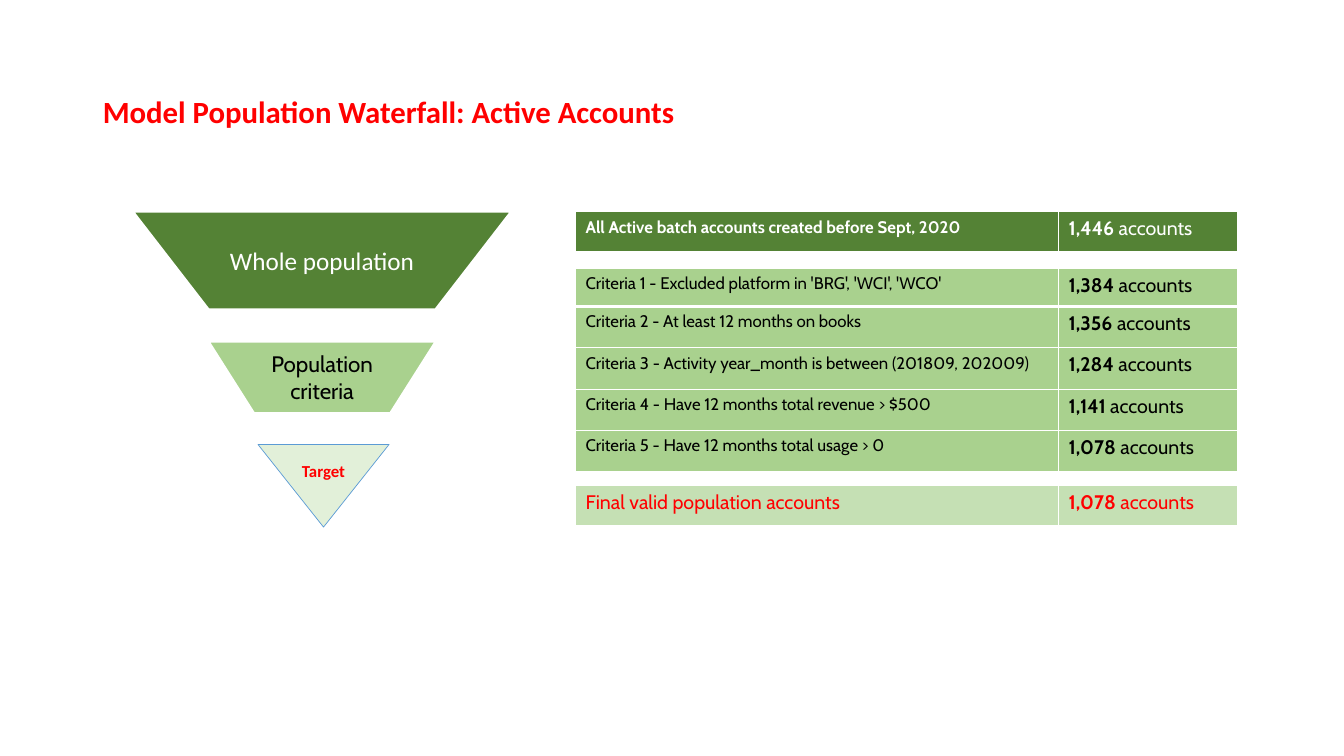
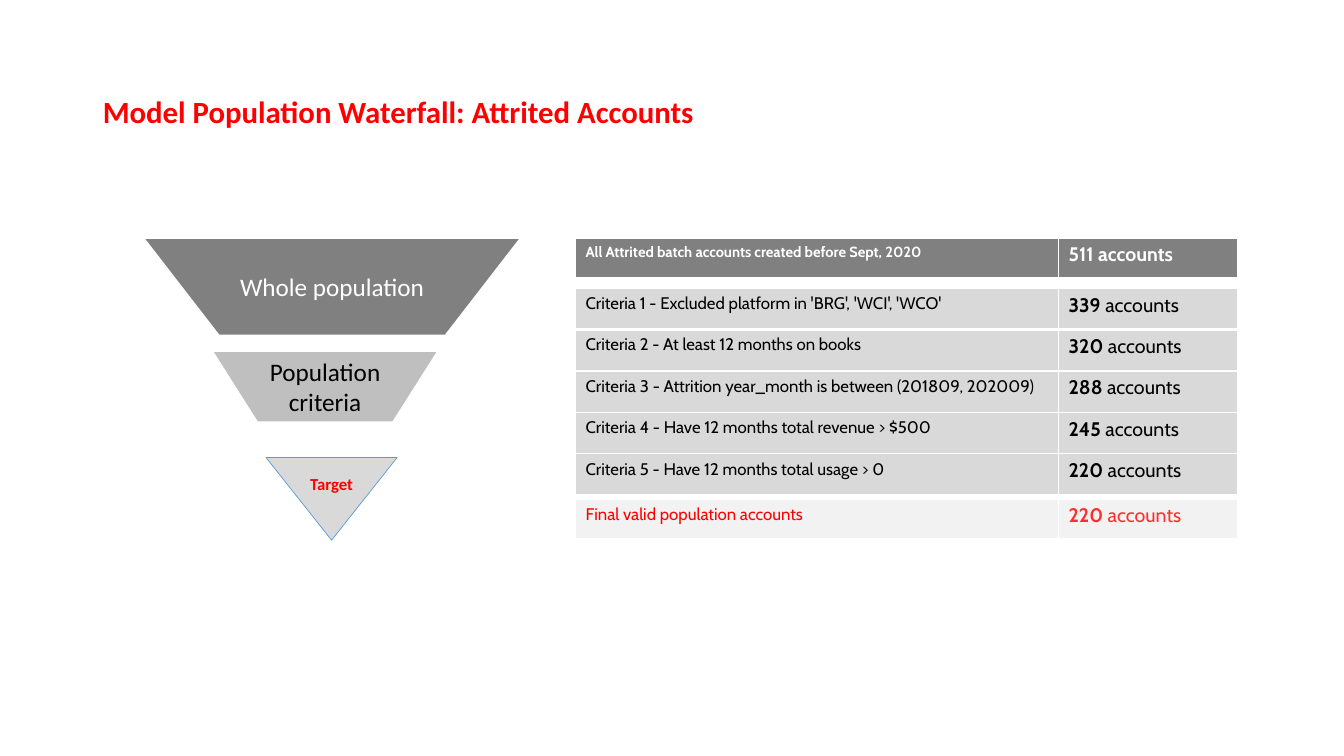
import dataclasses

import lxml.etree
import pptx
import pptx.dml.color
import pptx.enum.shapes
import pptx.enum.text
import pptx.oxml.ns
import pptx.util

SHAPES = pptx.enum.shapes.MSO_SHAPE
ALIGN = pptx.enum.text.PP_ALIGN
ANCHOR = pptx.enum.text.MSO_ANCHOR
SLIDE_WIDTH = pptx.util.Inches(13.333)
SLIDE_HEIGHT = pptx.util.Inches(7.5)


# Shared look
@dataclasses.dataclass(frozen=True)
class Theme:
    heading_font: str = "Calibri"
    table_font: str = "Cabin"
    white: str = "FFFFFF"
    black: str = "000000"
    red: str = "FF0000"
    soft_red: str = "FF2D2D"
    outline: str = "5B9BD5"
    title_size: float = 22
    large: float = 18
    medium: float = 16
    count_size: float = 14
    label_size: float = 12
    small: float = 10.5
    thin_border: float = 1
    thick_border: float = 3
    funnel_line: float = 1.5
    target_line: float = 0.5


THEME = Theme()


@dataclasses.dataclass(frozen=True)
class Span:
    text: str
    size: float
    color: str = THEME.black
    bold: bool = False
    font: str = THEME.table_font


@dataclasses.dataclass(frozen=True)
class Stage:
    shape: int
    area: tuple
    fill: str
    label: Span


@dataclasses.dataclass(frozen=True)
class Waterfall:
    title: str
    funnel: list
    tables: list


# Lengths as percent shares of the slide
def across(share):
    return round(SLIDE_WIDTH * share / 100)


def down(share):
    return round(SLIDE_HEIGHT * share / 100)


def place(area):
    left, top, width, height = area
    return across(left), down(top), across(width), down(height)


TITLE_AREA = (6.9, 5.33, 86.25, 19.33)
TABLE_LEFT = 42.83
TABLE_COLUMNS = (35.93, 13.35)
ROW = 5.47
SHORT_ROW = 5.07
FUNNEL_SIZES = ((28.13, 12.93), (16.88, 9.47), (9.75, 10.93))


def rgb(color):
    return pptx.dml.color.RGBColor.from_string(color)


# Text
def write(para, spans):
    for span in spans:
        run = para.add_run()
        run.text = span.text
        run.font.name = span.font
        run.font.size = pptx.util.Pt(span.size)
        run.font.bold = span.bold
        run.font.color.rgb = rgb(span.color)


def add_title(page, text):
    title = page.shapes.title
    title.left, title.top, title.width, title.height = place(TITLE_AREA)
    frame = title.text_frame
    frame.auto_size = pptx.enum.text.MSO_AUTO_SIZE.NONE
    frame.vertical_anchor = ANCHOR.MIDDLE
    para = frame.paragraphs[0]
    para.alignment = ALIGN.LEFT
    para.line_spacing = 0.9
    write(para, [Span(text, THEME.title_size, THEME.red, True, THEME.heading_font)])


# Funnel
def add_stage(page, stage):
    box = page.shapes.add_shape(stage.shape, *place(stage.area))
    box.shadow.inherit = False
    box.fill.solid()
    box.fill.fore_color.rgb = rgb(stage.fill)
    is_target = stage.shape == SHAPES.FLOWCHART_MERGE
    box.line.color.rgb = rgb(THEME.outline if is_target else THEME.white)
    box.line.width = pptx.util.Pt(THEME.target_line if is_target else THEME.funnel_line)
    frame = box.text_frame
    frame.word_wrap = True
    frame.vertical_anchor = ANCHOR.BOTTOM if is_target else ANCHOR.MIDDLE
    if is_target:
        frame.margin_left = frame.margin_right = pptx.util.Inches(0.05)
    para = frame.paragraphs[0]
    para.alignment = ALIGN.CENTER
    write(para, [stage.label])


def funnel(spots, fills, criteria_label):
    shapes = (SHAPES.FLOWCHART_MANUAL_OPERATION,) * 2 + (SHAPES.FLOWCHART_MERGE,)
    labels = (
        Span("Whole population", THEME.large, THEME.white, font=THEME.heading_font),
        criteria_label,
        Span("Target", THEME.label_size, THEME.red, True, THEME.heading_font),
    )
    return [
        Stage(shape, spot + size, fill, label)
        for shape, spot, size, fill, label in zip(shapes, spots, FUNNEL_SIZES, fills, labels)
    ]


# Tables
def set_borders(cell, top, bottom):
    widths = {"lnL": THEME.thin_border, "lnR": THEME.thin_border, "lnT": top, "lnB": bottom}
    properties = cell._tc.get_or_add_tcPr()
    qn = pptx.oxml.ns.qn
    for position, (side, width) in enumerate(widths.items()):
        line = lxml.etree.Element(qn("a:" + side), w=str(pptx.util.Pt(width)))
        solid = lxml.etree.SubElement(line, qn("a:solidFill"))
        lxml.etree.SubElement(solid, qn("a:srgbClr"), val=THEME.white)
        properties.insert(position, line)


def add_band(page, top, fill, rows, first_height=ROW):
    heights = [first_height] + [ROW] * (len(rows) - 1)
    area = (TABLE_LEFT, top, sum(TABLE_COLUMNS), sum(heights))
    table = page.shapes.add_table(len(rows), len(TABLE_COLUMNS), *place(area)).table
    table.first_row = table.horz_banding = False
    for column, width in zip(table.columns, TABLE_COLUMNS):
        column.width = across(width)
    for index, (row, height) in enumerate(zip(rows, heights)):
        table.rows[index].height = down(height)
        above = THEME.thick_border if index == 1 else THEME.thin_border
        below = THEME.thick_border if index == 0 else THEME.thin_border
        for column, spans in enumerate(row):
            cell = table.cell(index, column)
            cell.fill.solid()
            cell.fill.fore_color.rgb = rgb(fill)
            set_borders(cell, above, below)
            write(cell.text_frame.paragraphs[0], spans)


def count(number, color=THEME.black, unit_bold=False):
    return [
        Span(number, THEME.count_size, color, True),
        Span(" accounts", THEME.count_size, color, unit_bold),
    ]


def heading_row(group, size, number, unit_bold=False):
    text = f"All {group} batch accounts created before Sept, 2020"
    return [[Span(text, size, THEME.white, True)], count(number, THEME.white, unit_bold)]


def criteria_rows(event, numbers):
    criteria = (
        "Excluded platform in 'BRG', 'WCI', 'WCO'",
        "At least 12 months on books",
        f"{event} year_month is between (201809, 202009)",
        "Have 12 months total revenue > $500",
        "Have 12 months total usage > 0",
    )
    return [
        [[Span(f"Criteria {order} - {text}", THEME.label_size)], count(number)]
        for order, (text, number) in enumerate(zip(criteria, numbers), 1)
    ]


def final_row(size, number, color=THEME.red):
    return [[Span("Final valid population accounts", size, THEME.red)], count(number, color)]


# Slide content
def active_accounts():
    return Waterfall(
        "Model Population Waterfall: Active Accounts",
        funnel(
            ((9.9, 28), (15.53, 45.2), (19.2, 58.8)),
            ("548235", "A9D18E", "E2F0D9"),
            Span("Population criteria", THEME.medium),
        ),
        [
            (28, "548235", [heading_row("Active", THEME.label_size, "1,446")]),
            (35.47, "A9D18E",
             criteria_rows("Activity", ("1,384", "1,356", "1,284", "1,141", "1,078")), SHORT_ROW),
            (64.27, "C5E0B4", [final_row(THEME.count_size, "1,078")]),
        ],
    )


def attrited_accounts():
    return Waterfall(
        "Model Population Waterfall: Attrited Accounts",
        funnel(
            ((10.65, 31.47), (15.75, 46.4), (19.8, 60.53)),
            ("808080", "BFBFBF", "D9D9D9"),
            Span("Population criteria", THEME.large, font=THEME.heading_font),
        ),
        [
            (31.47, "808080", [heading_row("Attrited", THEME.small, "511", True)]),
            (38.13, "D9D9D9", criteria_rows("Attrition", ("339", "320", "288", "245", "220"))),
            (66, "F2F2F2", [final_row(THEME.label_size, "220", THEME.soft_red)]),
        ],
    )


def add_waterfall(deck, waterfall):
    page = deck.slides.add_slide(deck.slide_layouts.get_by_name("Title Only"))
    add_title(page, waterfall.title)
    for stage in waterfall.funnel:
        add_stage(page, stage)
    for band in waterfall.tables:
        add_band(page, *band)


def main():
    deck = pptx.Presentation()
    deck.slide_width, deck.slide_height = SLIDE_WIDTH, SLIDE_HEIGHT
    for waterfall in (active_accounts(), attrited_accounts()):
        add_waterfall(deck, waterfall)
    deck.save("out.pptx")


main()
